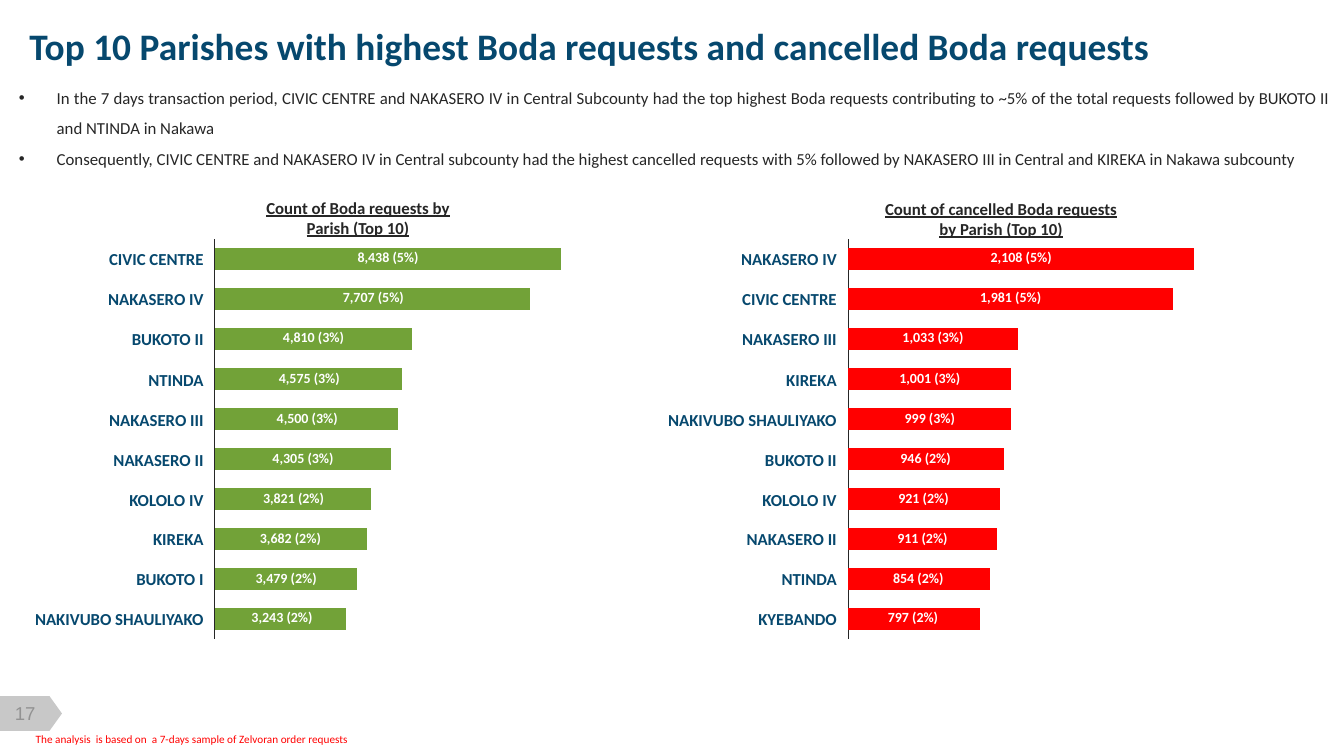
from dataclasses import dataclass
from typing import NamedTuple

from lxml.etree import SubElement
from pptx import Presentation
from pptx.chart.data import CategoryChartData
from pptx.dml.color import RGBColor
from pptx.enum.chart import XL_CHART_TYPE, XL_TICK_LABEL_POSITION, XL_TICK_MARK
from pptx.enum.shapes import MSO_SHAPE
from pptx.enum.text import MSO_ANCHOR, MSO_AUTO_SIZE, PP_ALIGN
from pptx.oxml import parse_xml
from pptx.oxml.ns import nsdecls, qn
from pptx.slide import Slide
from pptx.util import Emu, Pt

EMU_PER_PX = 9525


@dataclass(frozen=True)
class Theme:
    navy: str = "06486E"
    ink: str = "262626"
    green: str = "72A238"
    red: str = "FF0000"
    white: str = "FFFFFF"
    tab: str = "C8C8C8"
    page_grey: str = "929292"
    font: str = "Calibri"
    number_font: str = "Arial"
    title_size: float = 26.7
    page_size: float = 13.3
    body_size: float = 12
    value_size: float = 10
    note_size: float = 8


class Box(NamedTuple):
    left: int
    top: int
    width: int
    height: int


class Parish(NamedTuple):
    name: str
    requests: int
    share: int


@dataclass(frozen=True)
class Ranking:
    heading: str
    heading_box: Box
    chart_box: Box
    color: str
    parishes: tuple[Parish, ...]


THEME = Theme()
PLOT = {"x": 0.025, "y": 0.022, "w": 0.95, "h": 0.957}
NAME_WIDTHS = {
    "CIVIC CENTRE": 99, "NAKASERO IV": 101, "NAKASERO III": 99, "NAKASERO II": 95,
    "BUKOTO II": 75, "BUKOTO I": 70, "NTINDA": 59, "KOLOLO IV": 79, "KIREKA": 55,
    "KYEBANDO": 84, "NAKIVUBO SHAULIYAKO": 179,
}
RANKINGS = (
    Ranking(
        "Count of Boda requests by Parish (Top 10)",
        Box(251, 188, 180, 54), Box(196, 219, 347, 398), THEME.green,
        (
            Parish("CIVIC CENTRE", 8438, 5), Parish("NAKASERO IV", 7707, 5),
            Parish("BUKOTO II", 4810, 3), Parish("NTINDA", 4575, 3),
            Parish("NAKASERO III", 4500, 3), Parish("NAKASERO II", 4305, 3),
            Parish("KOLOLO IV", 3821, 2), Parish("KIREKA", 3682, 2),
            Parish("BUKOTO I", 3479, 2), Parish("NAKIVUBO SHAULIYAKO", 3243, 2),
        ),
    ),
    Ranking(
        "Count of cancelled Boda requests by Parish (Top 10)",
        Box(838, 189, 231, 41), Box(799, 219, 347, 398), THEME.red,
        (
            Parish("NAKASERO IV", 2108, 5), Parish("CIVIC CENTRE", 1981, 5),
            Parish("NAKASERO III", 1033, 3), Parish("KIREKA", 1001, 3),
            Parish("NAKIVUBO SHAULIYAKO", 999, 3), Parish("BUKOTO II", 946, 2),
            Parish("KOLOLO IV", 921, 2), Parish("NAKASERO II", 911, 2),
            Parish("NTINDA", 854, 2), Parish("KYEBANDO", 797, 2),
        ),
    ),
)
FINDINGS = (
    "In the 7 days transaction period, CIVIC CENTRE and NAKASERO IV in Central Subcounty had the top highest "
    "Boda requests contributing to ~5% of the total requests followed by BUKOTO II and NTINDA in Nakawa",
    "Consequently, CIVIC CENTRE and NAKASERO IV in Central subcounty had the highest cancelled requests with 5% "
    "followed by NAKASERO III in Central and KIREKA in Nakawa subcounty",
)


def px(length: int) -> Emu:
    return Emu(length * EMU_PER_PX)


def place(box: Box) -> tuple[Emu, ...]:
    return tuple(px(length) for length in box)


def add_text(slide: Slide, box: Box, *lines: str, size: float = THEME.body_size, color: str = THEME.ink,
             font: str = THEME.font, bold: bool = False, underline: bool = False,
             align: PP_ALIGN = PP_ALIGN.LEFT, anchor: MSO_ANCHOR = MSO_ANCHOR.TOP,
             inset: tuple[int, int] = (0, 0), wrap: bool = True, grow: bool = False,
             spacing: float = 1.0, bullet_indent: int = 0) -> None:
    frame = slide.shapes.add_textbox(*place(box)).text_frame
    frame.word_wrap = wrap
    frame.auto_size = MSO_AUTO_SIZE.SHAPE_TO_FIT_TEXT if grow else MSO_AUTO_SIZE.NONE
    frame.vertical_anchor = anchor
    frame.margin_left = frame.margin_right = px(inset[0])
    frame.margin_top = frame.margin_bottom = px(inset[1])
    for index, line in enumerate(lines):
        paragraph = frame.add_paragraph() if index else frame.paragraphs[0]
        paragraph.alignment = align
        paragraph.line_spacing = spacing
        if bullet_indent:
            properties = paragraph._p.get_or_add_pPr()
            properties.set("marL", str(px(bullet_indent)))
            properties.set("indent", str(-px(bullet_indent)))
            SubElement(properties, qn("a:buFont")).set("typeface", "Arial")
            SubElement(properties, qn("a:buChar")).set("char", "•")
        run = paragraph.add_run()
        run.text = line
        run.font.name, run.font.size = font, Pt(size)
        run.font.bold, run.font.underline = bold, underline
        run.font.color.rgb = RGBColor.from_string(color)


def add_bars(slide: Slide, ranking: Ranking) -> None:
    top_requests = ranking.parishes[0].requests
    data = CategoryChartData()
    data.categories = [str(rank) for rank in range(1, len(ranking.parishes) + 1)]
    data.add_series("Series 1", [round(100 * parish.requests / top_requests) for parish in ranking.parishes])
    chart = slide.shapes.add_chart(XL_CHART_TYPE.BAR_STACKED, *place(ranking.chart_box), data).chart
    chart.has_legend = chart.has_title = False
    chart.font.name, chart.font.size = THEME.number_font, Pt(THEME.value_size)
    chart.font.color.rgb = RGBColor.from_string(THEME.ink)

    plot = chart.plots[0]
    plot.gap_width, plot.overlap, plot.vary_by_categories = 80, 100, False
    fill = plot.series[0].format.fill
    fill.solid()
    fill.fore_color.rgb = RGBColor.from_string(ranking.color)

    category_axis = chart.category_axis
    category_axis.reverse_order = True
    category_axis.tick_label_position = XL_TICK_LABEL_POSITION.NONE
    category_axis.major_tick_mark = category_axis.minor_tick_mark = XL_TICK_MARK.NONE
    category_axis.format.line.color.rgb = RGBColor.from_string(THEME.ink)
    category_axis.format.line.width = Pt(0.75)
    value_axis = chart.value_axis
    value_axis.minimum_scale, value_axis.maximum_scale = 0, 100
    value_axis.has_major_gridlines = value_axis.visible = False

    plot_area = chart._chartSpace.chart.plotArea
    for layout in plot_area.findall(qn("c:layout")):
        plot_area.remove(layout)
    modes = '<c:xMode val="edge"/><c:yMode val="edge"/>'
    sizes = "".join(f'<c:{key} val="{value}"/>' for key, value in PLOT.items())
    plot_area.insert(0, parse_xml(
        f'<c:layout {nsdecls("c")}><c:manualLayout><c:layoutTarget val="inner"/>'
        f"{modes}{sizes}</c:manualLayout></c:layout>"))


def add_ranking(slide: Slide, ranking: Ranking) -> None:
    add_bars(slide, ranking)
    add_text(slide, ranking.heading_box, ranking.heading, bold=True, underline=True, align=PP_ALIGN.CENTER)
    chart_box = ranking.chart_box
    row_height = chart_box.height * PLOT["h"] / len(ranking.parishes)
    first_row = chart_box.top + chart_box.height * PLOT["y"]
    bar_left = chart_box.left + chart_box.width * PLOT["x"]
    longest_bar = chart_box.width * PLOT["w"]
    for index, parish in enumerate(ranking.parishes):
        middle = first_row + row_height * (index + 0.5)
        name_width = NAME_WIDTHS[parish.name]
        name_box = Box(chart_box.left - 2 - name_width, round(middle - 9.5), name_width, 19)
        add_text(slide, name_box, parish.name, color=THEME.navy, bold=True, align=PP_ALIGN.RIGHT,
                 anchor=MSO_ANCHOR.MIDDLE, wrap=False)
        value_width = 63 if parish.requests >= 1000 else 53
        center = bar_left + longest_bar * parish.requests / ranking.parishes[0].requests / 2
        value_box = Box(round(center - value_width / 2), round(middle - 7.5), value_width, 14)
        add_text(slide, value_box, f"{parish.requests:,} ({parish.share}%)", size=THEME.value_size,
                 color=THEME.white, bold=True, align=PP_ALIGN.CENTER, anchor=MSO_ANCHOR.MIDDLE,
                 inset=(2, 0), wrap=False, spacing=0.9)


def add_page_tab(slide: Slide) -> None:
    tab = slide.shapes.add_shape(MSO_SHAPE.FLOWCHART_OFFPAGE_CONNECTOR, *place(Box(13, 650, 33, 59)))
    tab.rotation = 270
    tab.shadow.inherit = False
    tab.fill.solid()
    tab.fill.fore_color.rgb = RGBColor.from_string(THEME.tab)
    tab.line.fill.background()
    add_text(slide, Box(3, 669, 42, 21), "17", size=THEME.page_size, color=THEME.page_grey,
             font=THEME.number_font, align=PP_ALIGN.CENTER, anchor=MSO_ANCHOR.MIDDLE)


def main() -> None:
    presentation = Presentation()
    presentation.slide_width, presentation.slide_height = px(1280), px(720)
    slide = presentation.slides.add_slide(presentation.slide_layouts[6])
    add_page_tab(slide)
    add_text(slide, Box(18, 17, 1490, 53), "Top 10 Parishes with highest Boda requests and cancelled Boda requests",
             size=THEME.title_size, color=THEME.navy, bold=True, inset=(10, 5), grow=True)
    add_text(slide, Box(18, 74, 1250, 124), *FINDINGS, align=PP_ALIGN.JUSTIFY, spacing=1.5, bullet_indent=36)
    for ranking in RANKINGS:
        add_ranking(slide, ranking)
    add_text(slide, Box(24, 692, 417, 23), "The analysis  is based on  a 7-days sample of Zelvoran order requests",
             size=THEME.note_size, color=THEME.red, inset=(10, 5), grow=True)
    presentation.save("out.pptx")


if __name__ == "__main__":
    main()
